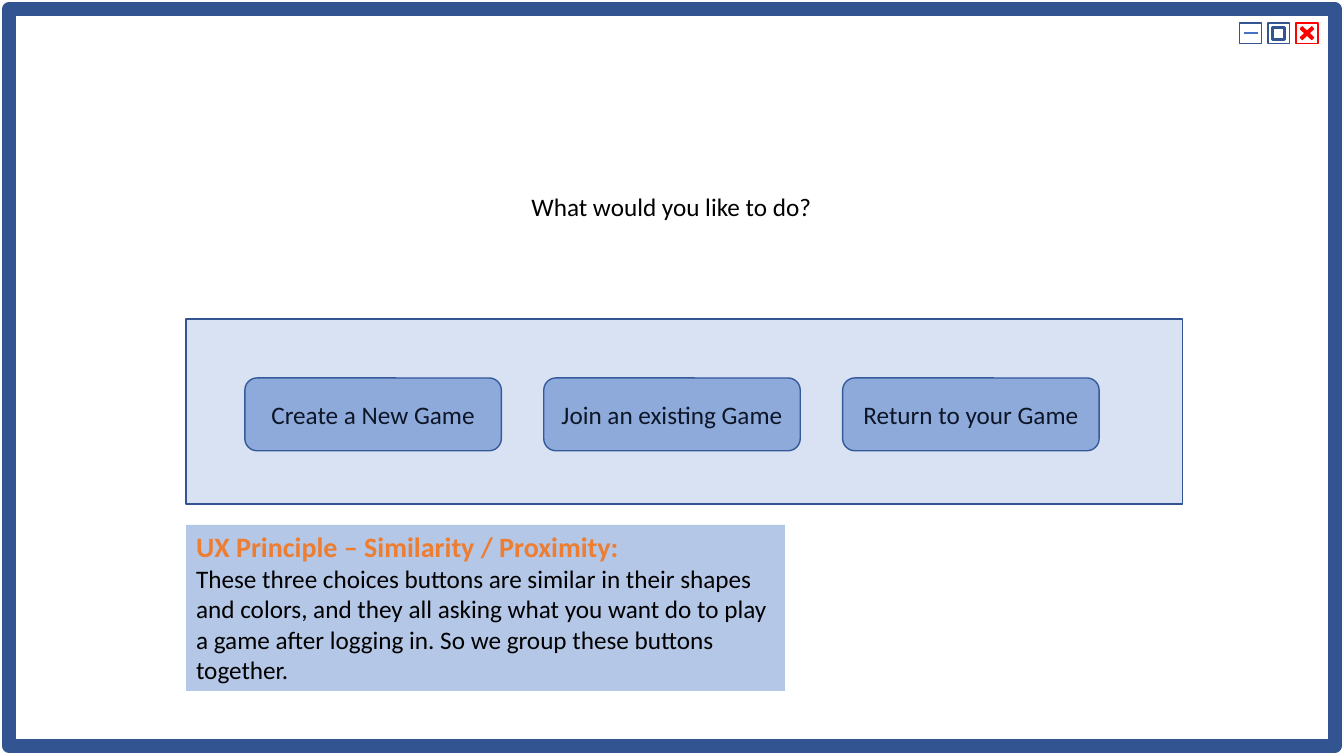
from typing import NamedTuple, Optional

from lxml import etree
from pptx import Presentation
from pptx.dml.color import RGBColor
from pptx.enum.shapes import MSO_CONNECTOR, MSO_SHAPE
from pptx.enum.text import MSO_ANCHOR, PP_ALIGN
from pptx.oxml.ns import qn
from pptx.util import Pt

RECT = MSO_SHAPE.RECTANGLE
ROUNDED = MSO_SHAPE.ROUNDED_RECTANGLE
CROSS = MSO_SHAPE.MATH_MULTIPLY
STRAIGHT = MSO_CONNECTOR.STRAIGHT
CENTER, LEFT = PP_ALIGN.CENTER, PP_ALIGN.LEFT
MIDDLE, TOP = MSO_ANCHOR.MIDDLE, MSO_ANCHOR.TOP

COLORS = {
    "outline": "325491",
    "accent": "4472C4",
    "close": "FF0000",
    "note": "B4C7E7",
    "heading": "ED7D31",
    "text": "000000",
}
FONT = "Calibri"


class Box(NamedTuple):
    left: float
    top: float
    width: float
    height: float
    kind: int = RECT
    fill: Optional[str] = None
    line: Optional[str] = None
    weight: float = 1
    opacity: int = 100


class Line(NamedTuple):
    text: str
    size: float = 18
    color: str = "text"
    bold: bool = False


def rgb(name: str) -> RGBColor:
    return RGBColor.from_string(COLORS[name])


def draw_box(shapes, box: Box):
    shape = shapes.add_shape(box.kind, *map(Pt, box[:4]))
    shape.shadow.inherit = False
    if box.fill:
        shape.fill.solid()
        shape.fill.fore_color.rgb = rgb(box.fill)
        if box.opacity < 100:
            color = shape.element.spPr.find(qn("a:solidFill"))[0]
            etree.SubElement(color, qn("a:alpha"), val=str(box.opacity * 1000))
    else:
        shape.fill.background()
    if box.line:
        shape.line.color.rgb = rgb(box.line)
        shape.line.width = Pt(box.weight)
    else:
        shape.line.fill.background()
    return shape


def write(shape, lines: list[Line], align=CENTER, anchor=MIDDLE) -> None:
    frame = shape.text_frame
    frame.word_wrap = True
    frame.vertical_anchor = anchor
    frame.text = "\n".join(line.text for line in lines)
    for paragraph, line in zip(frame.paragraphs, lines):
        paragraph.alignment = align
        font = paragraph.runs[0].font
        font.name, font.size, font.bold = FONT, Pt(line.size), line.bold
        font.color.rgb = rgb(line.color)


prs = Presentation()
prs.slide_width, prs.slide_height = Pt(960), Pt(540)
slide = prs.slides.add_slide(prs.slide_layouts[6])
shapes = slide.shapes

# Window frame
draw_box(shapes, Box(6.5, 6.5, 946.8, 526.3, line="outline", weight=10))

# Window controls: minimize, maximize, close
CONTROL_LEFT, CONTROL_TOP, CONTROL_PITCH = 885.6, 16.4, 20.1
CONTROL_WIDTH, CONTROL_HEIGHT = 15.6, 14.6
controls = shapes.add_group_shape().shapes
for index, color in enumerate(("outline", "outline", "close")):
    close_frame = Box(CONTROL_LEFT + index * CONTROL_PITCH, CONTROL_TOP,
                      CONTROL_WIDTH, CONTROL_HEIGHT, line=color)
    draw_box(controls, close_frame)

dash_y = CONTROL_TOP + CONTROL_HEIGHT / 2
dash = controls.add_connector(STRAIGHT, Pt(888.5), Pt(dash_y), Pt(898.6), Pt(dash_y))
dash.line.color.rgb = rgb("accent")
dash.line.width = Pt(1.5)
etree.SubElement(dash.element.spPr, qn("a:effectLst"))

draw_box(controls, Box(908.8, 19.4, 8.8, 8.8, line="outline", weight=2))
close_cross = draw_box(controls, close_frame._replace(kind=CROSS, fill="close"))
close_cross.adjustments[0] = 0.13

# Question
question = shapes.add_textbox(Pt(369.4), Pt(133.2), Pt(220.3), Pt(31.7))
write(question, [Line("What would you like to do?")], anchor=TOP)

# Choice buttons
BUTTON_LEFT, BUTTON_PITCH = 174.9, 213.5
choices = ("Create a New Game", "Join an existing Game", "Return to your Game")
for index, choice in enumerate(choices):
    button = draw_box(shapes, Box(BUTTON_LEFT + index * BUTTON_PITCH, 270, 183.2, 52,
                                  ROUNDED, "accent", "outline", opacity=50))
    write(button, [Line(choice)])

# Translucent panel grouping the buttons
draw_box(shapes, Box(133, 228, 711.5, 132, fill="accent", line="outline", opacity=20))

# Design note
note = draw_box(shapes, Box(133, 375, 427.7, 118.5, fill="note"))
write(note, [
    Line("UX Principle – Similarity / Proximity: ", 20, "heading", True),
    Line("These three choices buttons are similar in their shapes and colors, "
         "and they all asking what you want do to play a game after logging in. "
         "So we group these buttons together."),
], LEFT, TOP)

prs.save("out.pptx")
